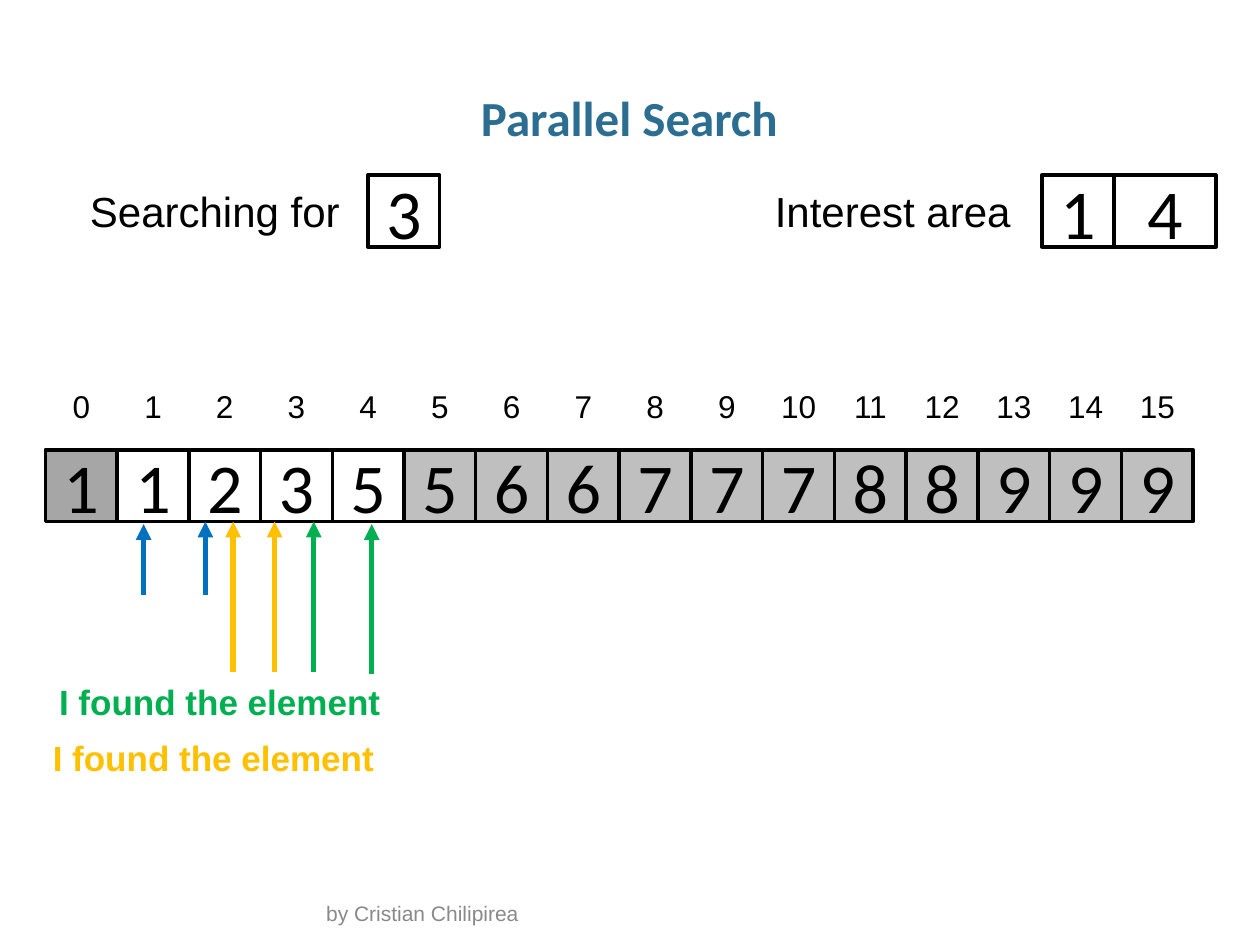
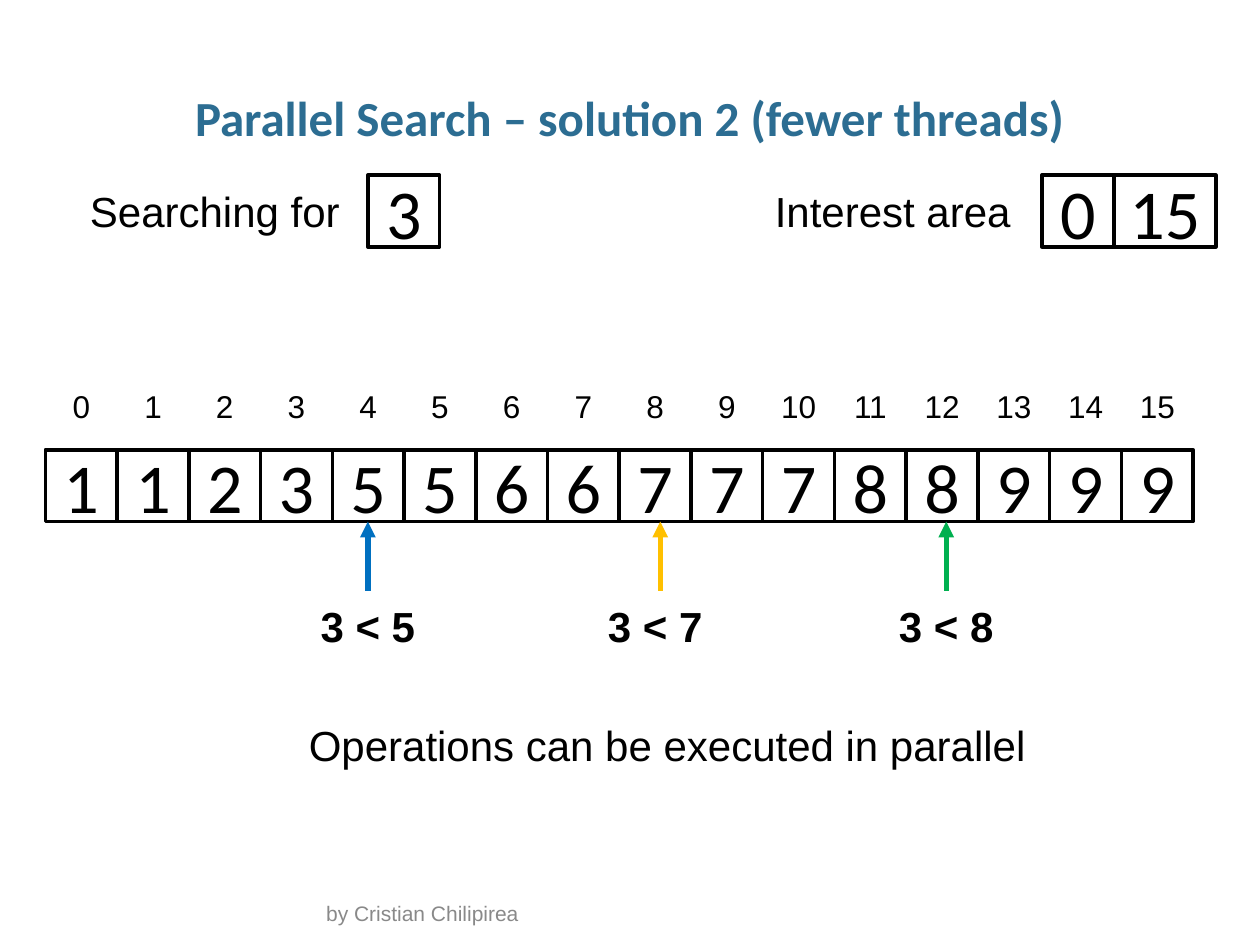
"""Build two slides that show a parallel search over a sorted array."""
from dataclasses import dataclass

from lxml import etree
from pptx import Presentation
from pptx.dml.color import RGBColor
from pptx.enum import shapes, text
from pptx.oxml import ns
from pptx.util import Pt

PX = 9144


@dataclass(frozen=True)
class Theme:
    """Colours, fonts and type sizes."""
    ink: str = "000000"
    title: str = "2C6D92"
    foot: str = "898989"
    out: str = "BFBFBF"
    first: str = "A6A6A6"
    blue: str = "0070C0"
    gold: str = "FFC000"
    green: str = "00B050"
    head: str = "Calibri"
    body: str = "Arial"
    huge: int = 40
    large: int = 28
    mid: int = 24
    found: int = 20
    index: int = 18
    small: int = 12


T = Theme()
AUTHOR = "by Cristian Chilipirea"
VALUES = [1, 1, 2, 3, 5, 5, 6, 6, 7, 7, 7, 8, 8, 9, 9, 9]
TARGET = 3
SLIDES = [
    dict(
        title="Parallel Search",
        area=(1, 4),
        fills=[T.first] + [None] * 4 + [T.out] * 11,
        arrows=[(163, 472, 414, T.blue), (218, 533, 414, T.gold),
                (295, 535, 416, T.green), (114, 472, 416, T.blue),
                (185, 533, 414, T.gold), (249, 533, 414, T.green)],
        notes=[("I found the element", (36, 535, 277, 44), T.found, T.green, True),
               ("I found the element", (31, 580, 277, 44), T.found, T.gold, True)],
    ),
    dict(
        title="Parallel Search – solution 2 (fewer threads)",
        area=(0, 15),
        fills=[None] * 16,
        arrows=[(292, 469, 414, T.blue), (524, 469, 414, T.gold),
                (751, 469, 414, T.green)],
        notes=[("3 < 5", (244, 472, 96, 50), T.mid, T.ink, True),
               ("3 < 7", (472, 472, 96, 50), T.mid, T.ink, True),
               ("3 < 8", (703, 472, 96, 50), T.mid, T.ink, True),
               ("Operations can be executed in parallel",
                (232, 566, 595, 50), T.mid, T.ink, False)],
    ),
]
LEFT, TOP, SIDE, STEP = 36, 357, 57, 854 / 15
HEAD = 139


def emu(*vals):
    """Turn px into EMU."""
    return [round(v * PX) for v in vals]


def rgb(hue):
    """Turn a hex string into a colour."""
    return RGBColor.from_string(hue)


def write(shape, words, size, hue, face, bold=False, align=text.PP_ALIGN.CENTER):
    """Set the one paragraph of a shape and return it."""
    para = shape.text_frame.paragraphs[0]
    para.text = str(words)
    para.alignment = align
    font = para.font
    font.size, font.name, font.bold = Pt(size), face, bold
    font.color.rgb = rgb(hue)
    return para


def label(slide, words, box, size, hue=T.ink, bold=False):
    """Add a line of text that does not wrap."""
    shape = slide.shapes.add_textbox(*emu(*box))
    shape.text_frame.word_wrap = False
    shape.text_frame.auto_size = text.MSO_AUTO_SIZE.SHAPE_TO_FIT_TEXT
    write(shape, words, size, hue, T.body, bold)


def cell(slide, value, x, y, wide=SIDE, fill=None):
    """Add a framed number."""
    shape = slide.shapes.add_shape(shapes.MSO_SHAPE.RECTANGLE, *emu(x, y, wide, SIDE))
    shape.shadow.inherit = False
    if fill:
        shape.fill.solid()
        shape.fill.fore_color.rgb = rgb(fill)
    else:
        shape.fill.background()
    shape.line.color.rgb = rgb(T.ink)
    shape.line.width = Pt(2)
    shape.text_frame.vertical_anchor = text.MSO_ANCHOR.MIDDLE
    write(shape, value, T.huge, T.ink, T.head)


def arrow(slide, x, low, high, hue):
    """Add an upward arrow."""
    line = slide.shapes.add_connector(shapes.MSO_CONNECTOR.STRAIGHT, *emu(x, low, x, high))
    line.line.color.rgb = rgb(hue)
    line.line.width = Pt(3)
    etree.SubElement(line.line._get_or_add_ln(), ns.qn("a:tailEnd"), type="triangle")
    etree.SubElement(line._element.spPr, ns.qn("a:effectLst"))


def frame(slide, title):
    """Add the footer and the title."""
    foot = slide.shapes.add_textbox(*emu(249, 716, 502, 24))
    foot.text_frame.word_wrap = True
    foot.text_frame.vertical_anchor = text.MSO_ANCHOR.BOTTOM
    write(foot, AUTHOR, T.small, T.foot, T.body, align=text.PP_ALIGN.LEFT)
    head = slide.shapes.add_textbox(*emu(34, 68, 931, 50))
    body = head.text_frame
    body.word_wrap = True
    body.margin_left = body.margin_right = 0
    write(head, title, T.large, T.title, T.head, True).line_spacing = 0.95


def array(slide, fills):
    """Add the numbered row of values."""
    for i, (value, fill) in enumerate(zip(VALUES, fills)):
        x = LEFT + i * STEP
        cell(slide, value, x, TOP, fill=fill)
        wide = 34 if i < 10 else 48
        label(slide, i, (x + (SIDE - wide) / 2, 302, wide, 40), T.index)


def query(slide, area):
    """Add the target and the interest area."""
    label(slide, "Searching for", (60, 142, 221, 50), T.mid)
    cell(slide, TARGET, 292, HEAD)
    label(slide, "Interest area", (604, 142, 209, 50), T.mid)
    start, end = area
    cell(slide, start, 827, HEAD)
    cell(slide, end, 884, HEAD, wide=81)


def main():
    """Build and save the deck."""
    deck = Presentation()
    deck.slide_width, deck.slide_height = emu(1000, 750)
    for data in SLIDES:
        slide = deck.slides.add_slide(deck.slide_layouts[6])
        frame(slide, data["title"])
        array(slide, data["fills"])
        query(slide, data["area"])
        for item in data["arrows"]:
            arrow(slide, *item)
        for note in data["notes"]:
            label(slide, *note)
    deck.save("out.pptx")


if __name__ == "__main__":
    main()
